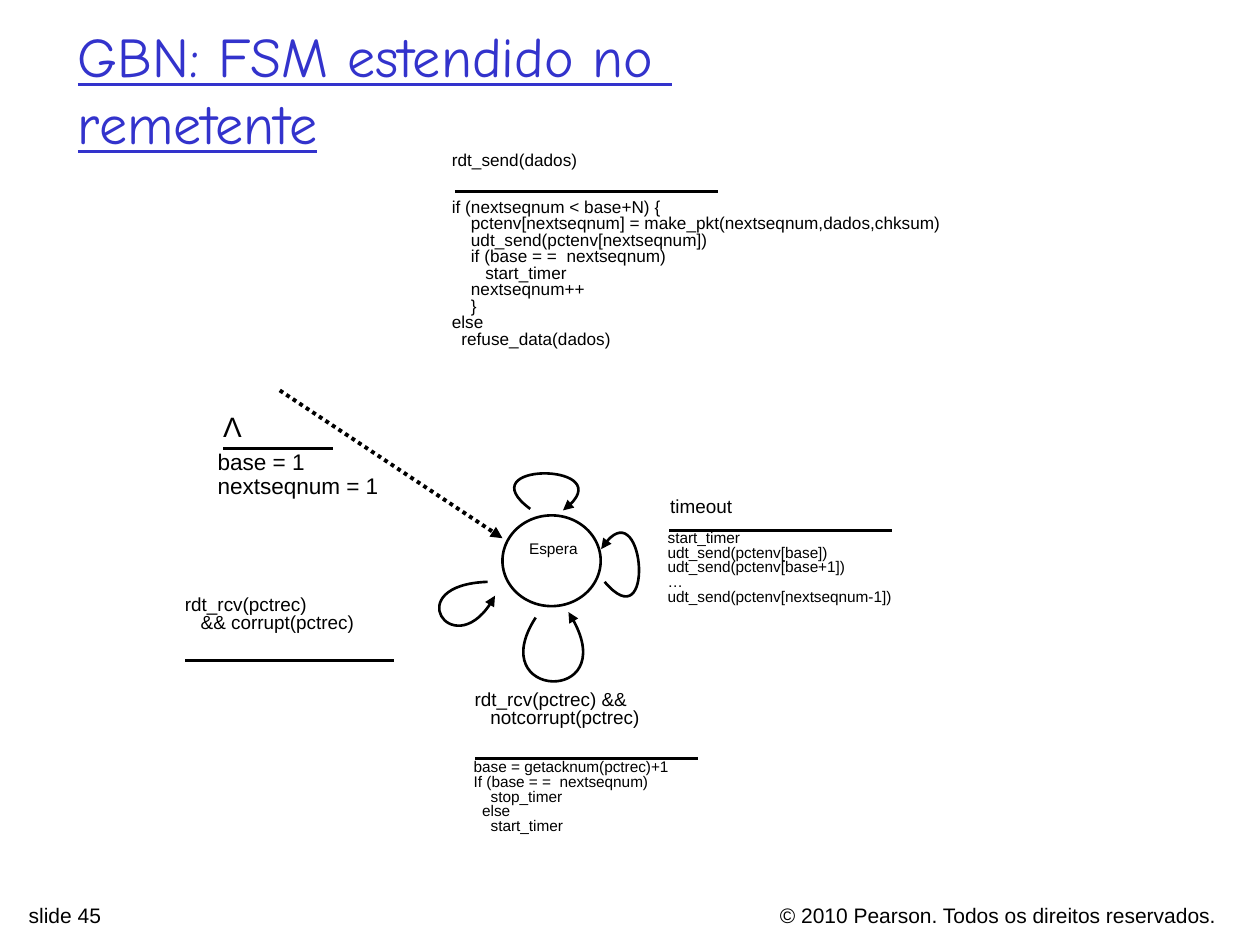
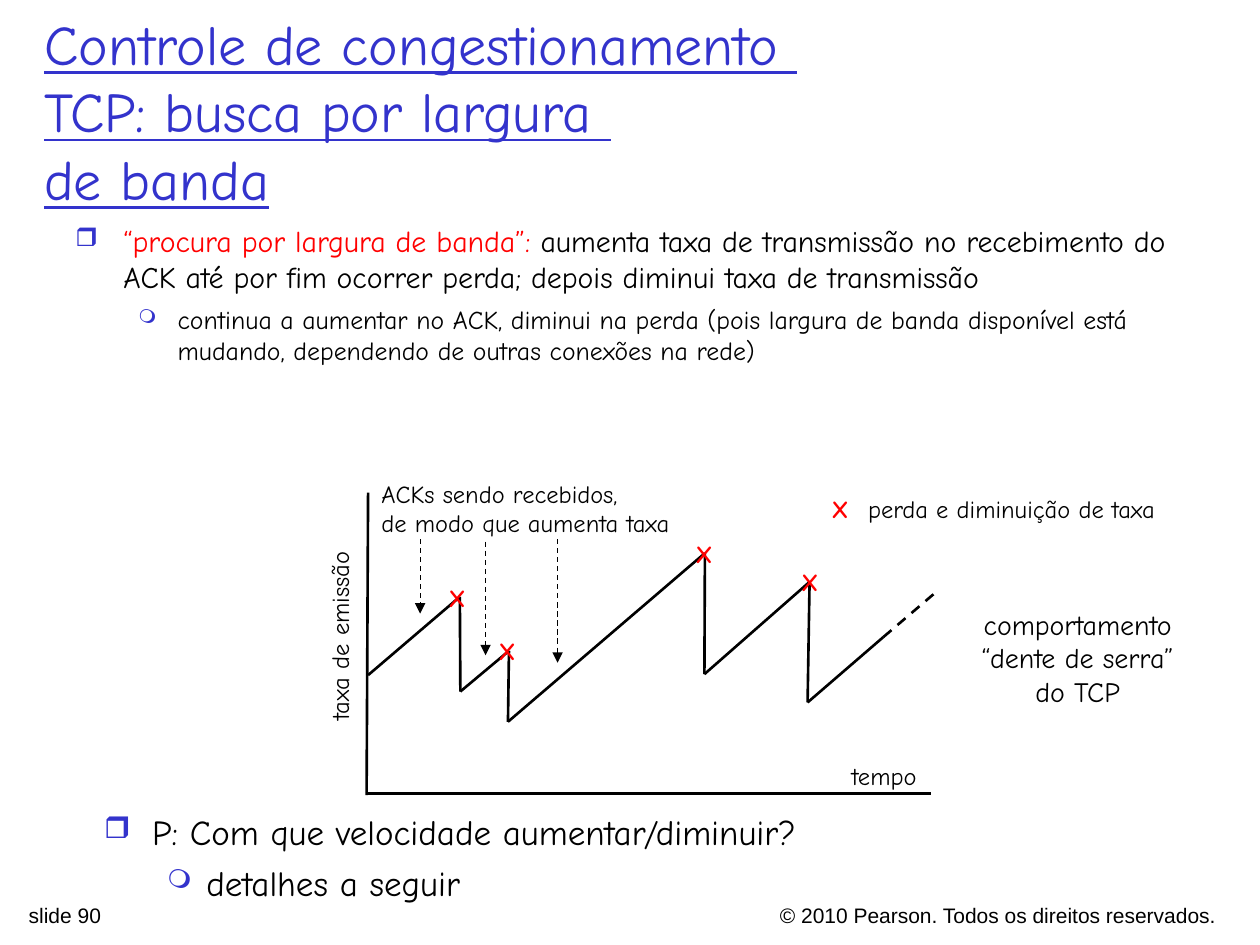
from itertools import pairwise

from lxml.etree import SubElement
from pptx import Presentation
from pptx.dml.color import RGBColor
from pptx.enum.dml import MSO_LINE
from pptx.enum.shapes import MSO_CONNECTOR, MSO_SHAPE
from pptx.enum.text import MSO_ANCHOR, PP_ALIGN
from pptx.oxml.ns import qn
from pptx.util import Cm, Pt

BLACK = RGBColor(0x00, 0x00, 0x00)
WHITE = RGBColor(0xFF, 0xFF, 0xFF)
RED = RGBColor(0xFF, 0x00, 0x00)
BLUE = RGBColor(0x33, 0x33, 0xCC)
PLAIN_FONT = "Arial"
HAND_FONT = "Comic Neue"
COPYRIGHT = "© 2010 Pearson. Todos os direitos reservados."
BULLETS = [("❒", 85, 0.97, -0.97), ("❍", 75, 2.06, -0.79)]
MARK_SIZE = 0.86


def format_run(run, size, font, color, bold=False, underline=False):
    run.font.size = Pt(size)
    run.font.name = font
    run.font.color.rgb = color
    run.font.bold = bold
    run.font.underline = underline


def add_text(slide, box, text, size, font=PLAIN_FONT, color=BLACK, align=PP_ALIGN.LEFT,
             spacing=1.0, bold=False, underline=False, wrap=True, anchor=MSO_ANCHOR.TOP):
    shape = slide.shapes.add_textbox(*map(Cm, box))
    text_frame = shape.text_frame
    text_frame.word_wrap = wrap
    text_frame.vertical_anchor = anchor
    text_frame.text = text
    for paragraph in text_frame.paragraphs:
        paragraph.alignment = align
        paragraph.line_spacing = spacing
        for run in paragraph.runs:
            format_run(run, size, font, color, bold, underline)
    return shape


def add_code(slide, box, text, size, spacing=0.8):
    add_text(slide, box, text, size, spacing=spacing)


def add_label(slide, box, text, size=14, **options):
    return add_text(slide, box, text, size, HAND_FONT, wrap=False, **options)


def add_bullet(paragraph, level):
    character, percent, margin, indent = BULLETS[level]
    paragraph.level = level
    properties = paragraph._p.get_or_add_pPr()
    properties.set("marL", str(Cm(margin)))
    properties.set("indent", str(Cm(indent)))
    SubElement(SubElement(properties, qn("a:buClr")), qn("a:srgbClr")).set("val", str(BLUE))
    SubElement(properties, qn("a:buSzPct")).set("val", str(percent * 1000))
    SubElement(properties, qn("a:buChar")).set("char", character)


def add_bullet_list(slide, box, items):
    text_frame = slide.shapes.add_textbox(*map(Cm, box)).text_frame
    text_frame.word_wrap = True
    for level, (size, pieces) in enumerate(items):
        paragraph = text_frame.add_paragraph() if level else text_frame.paragraphs[0]
        add_bullet(paragraph, level)
        paragraph.space_before = Pt(5 if level else 0)
        for text, color in pieces:
            run = paragraph.add_run()
            run.text = text
            format_run(run, size, HAND_FONT, color)


def format_line(line, width, dash=None, arrow=False):
    line.color.rgb = BLACK
    line.width = Pt(width)
    if dash:
        line.dash_style = dash
    if arrow:
        SubElement(line._get_or_add_ln(), qn("a:tailEnd")).set("type", "triangle")


def add_line(slide, start, end, width=1.5, dash=None, arrow=False):
    connector = slide.shapes.add_connector(MSO_CONNECTOR.STRAIGHT, *map(Cm, (*start, *end)))
    format_line(connector.line, width, dash, arrow)
    SubElement(connector.element.spPr, qn("a:effectLst"))


def add_rule(slide, left, right, top, width=1.5):
    add_line(slide, (left, top), (right, top), width)


def add_loop(slide, start, *controls_and_end):
    builder = slide.shapes.build_freeform(*map(Cm, start))
    builder.add_line_segments([tuple(map(Cm, point)) for point in controls_and_end], close=False)
    shape = builder.convert_to_shape()
    shape.shadow.inherit = False
    shape.fill.background()
    format_line(shape.line, 1.5, arrow=True)
    outline = shape.element.find(".//" + qn("a:path"))
    segments = outline.findall(qn("a:lnTo"))
    curve = SubElement(outline, qn("a:cubicBezTo"))
    for segment in segments:
        curve.append(segment[0])
        outline.remove(segment)


def add_state(slide, box, name_box, name):
    shape = slide.shapes.add_shape(MSO_SHAPE.OVAL, *map(Cm, box))
    shape.shadow.inherit = False
    shape.fill.solid()
    shape.fill.fore_color.rgb = WHITE
    format_line(shape.line, 1.5)
    add_text(slide, name_box, name, 8.8, align=PP_ALIGN.CENTER, spacing=0.8)


def add_titled_slide(presentation, number, title_box, title):
    slide = presentation.slides.add_slide(presentation.slide_layouts[6])
    add_text(slide, (11.79, 18.06, 12.98, 0.6), COPYRIGHT, 12, align=PP_ALIGN.RIGHT)
    add_text(slide, (0.33, 18.06, 8.94, 0.6), f"slide {number}", 12)
    add_text(slide, title_box, title, 32, HAND_FONT, BLUE, underline=True,
             anchor=MSO_ANCHOR.MIDDLE)
    return slide


def build_sender_machine(presentation):
    slide = add_titled_slide(presentation, 45, (1.32, 0.81, 21.59, 1.96),
                             "GBN: FSM estendido no \vremetente")

    add_state(slide, (10.13, 10.39, 1.98, 1.83), (9.96, 10.82, 2.39, 0.66), "Espera")
    add_line(slide, (5.64, 7.87), (10.13, 10.85), 2.25, MSO_LINE.ROUND_DOT, arrow=True)
    add_loop(slide, (10.69, 10.26), (9.42, 9.32), (12.65, 9.32), (11.35, 10.29))
    add_loop(slide, (12.19, 11.73), (13.21, 12.93), (12.98, 9.73), (12.12, 11.07))
    add_loop(slide, (10.8, 12.45), (9.73, 14.1), (12.67, 14.22), (11.46, 12.34))
    add_loop(slide, (9.83, 11.73), (8.05, 11.79), (9.19, 13.49), (9.98, 12.01))

    add_text(slide, (4.24, 8.13, 0.89, 0.94), "Λ", 16, align=PP_ALIGN.CENTER, wrap=False)
    add_rule(slide, 4.5, 6.71, 9.04)
    add_code(slide, (4.14, 8.97, 4.11, 1.4), "base = 1\nnextseqnum = 1", 12.9, spacing=0.9)

    add_code(slide, (8.86, 2.97, 6.48, 0.71), "rdt_send(dados)", 9.8)
    add_rule(slide, 9.17, 14.48, 3.86, 2.25)
    add_code(slide, (8.86, 3.91, 15.34, 4.06), "\n".join([
        "if (nextseqnum < base+N) {",
        "    pctenv[nextseqnum] = make_pkt(nextseqnum,dados,chksum)",
        "    udt_send(pctenv[nextseqnum])",
        "    if (base = =  nextseqnum)",
        "       start_timer",
        "    nextseqnum++",
        "    }",
        "else",
        "  refuse_data(dados)",
    ]), 9.8)

    add_code(slide, (13.26, 9.93, 3.05, 0.76), "timeout", 10.8)
    add_rule(slide, 13.49, 17.98, 10.69)
    add_code(slide, (13.21, 10.59, 7.72, 2.31), "\n".join([
        "start_timer",
        "udt_send(pctenv[base])",
        "udt_send(pctenv[base+1])",
        "…",
        "udt_send(pctenv[nextseqnum-1])",
    ]), 8.8)

    add_code(slide, (9.32, 13.82, 7.87, 1.24),
             "rdt_rcv(pctrec) &&\n   notcorrupt(pctrec)", 10.8)
    add_rule(slide, 9.58, 14.07, 15.29, 2.25)
    add_code(slide, (9.3, 15.21, 10.24, 2.31), "\n".join([
        "base = getacknum(pctrec)+1",
        "If (base = =  nextseqnum)",
        "    stop_timer",
        "  else",
        "    start_timer",
    ]), 8.8)

    add_code(slide, (3.48, 11.91, 5.69, 1.24),
             "rdt_rcv(pctrec)\n   && corrupt(pctrec)", 10.8)
    add_rule(slide, 3.73, 7.95, 13.31)


def build_congestion_control(presentation):
    slide = add_titled_slide(presentation, 90, (0.64, 0.64, 23.5, 3.18),
                             "Controle de congestionamento \vTCP: busca por largura \vde banda")
    add_bullet_list(slide, (1.27, 4.37, 22.86, 4.01), [
        (17.1, [("“procura por largura de banda”: ", RED),
                ("aumenta taxa de transmissão no recebimento do ACK até por fim ocorrer "
                 "perda; depois diminui taxa de transmissão", BLACK)]),
        (14.7, [("continua a aumentar no ACK, diminui na perda (pois largura de banda "
                 "disponível está mudando, dependendo de outras conexões na rede)", BLACK)]),
    ])

    add_line(slide, (7.42, 9.93), (7.39, 16.03))
    add_rule(slide, 7.37, 18.77, 16)
    sawtooth = [(7.42, 13.61), (9.27, 12.03), (9.28, 13.94), (10.26, 13.12), (10.24, 14.55),
                (14.21, 11.15), (14.2, 13.59), (16.32, 11.73), (16.28, 14.16), (17.81, 12.84)]
    for start, end in pairwise(sawtooth):
        add_line(slide, start, end)
    add_line(slide, sawtooth[-1], (18.9, 11.91), dash=MSO_LINE.DASH)

    for left, top, bottom in [(8.47, 10.87, 12.37), (9.79, 10.92, 13.21), (11.24, 10.87, 13.36)]:
        add_line(slide, (left, top), (left, bottom), 0.75, MSO_LINE.DASH, arrow=True)

    legend_mark = (16.51, 9.83)
    loss_marks = [(8.79, 11.63), (9.8, 12.7), (13.77, 10.74), (15.9, 11.3)]
    for left, top in loss_marks + [legend_mark]:
        add_label(slide, (left, top, MARK_SIZE, MARK_SIZE), "X", color=RED, bold=True,
                  align=PP_ALIGN.CENTER)

    add_label(slide, (7.44, 9.53, 6.55, 1.45), "ACKs sendo recebidos,\nde modo que aumenta taxa")
    add_label(slide, (17.25, 9.83, 6.32, 0.86), "perda e diminuição de taxa")
    add_label(slide, (4.88, 12.37, 3.94, 0.86), "taxa de emissão").rotation = 270
    add_label(slide, (16.92, 15.21, 1.83, 0.86), "tempo")
    add_label(slide, (19.53, 12.12, 4.39, 2.29), "comportamento\v“dente de serra”\vdo TCP", 16,
              align=PP_ALIGN.CENTER)

    add_bullet_list(slide, (1.85, 16.21, 22.86, 2.39), [
        (20, [("P: Com que velocidade aumentar/diminuir?", BLACK)]),
        (20, [("detalhes a seguir", BLACK)]),
    ])


def main():
    presentation = Presentation()
    presentation.slide_width = Cm(25.4)
    presentation.slide_height = Cm(19.05)
    build_sender_machine(presentation)
    build_congestion_control(presentation)
    presentation.save("out.pptx")


if __name__ == "__main__":
    main()
